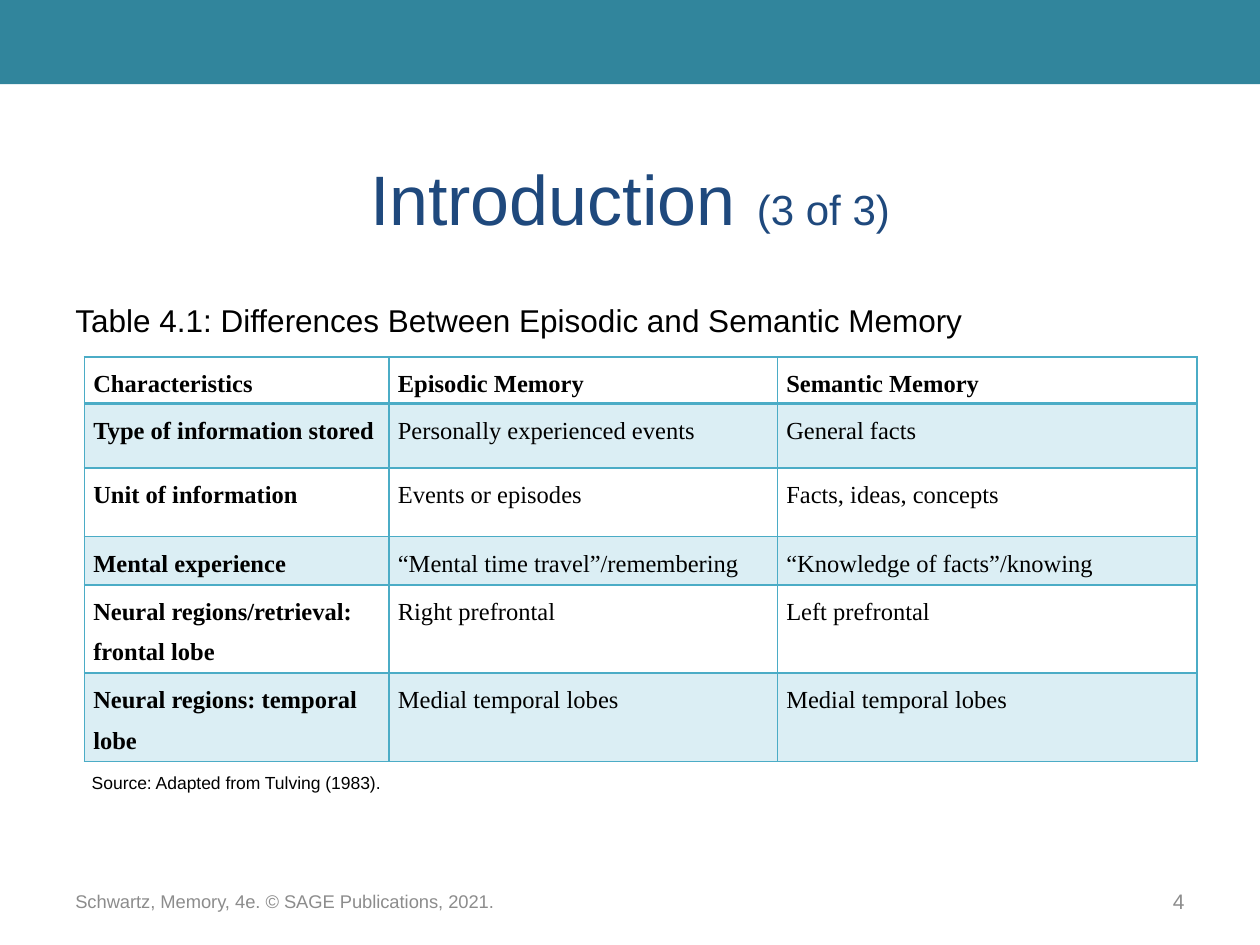
import pptx
import pptx.util
import pptx.dml.color
import pptx.enum.shapes
import pptx.enum.text
import pptx.oxml.ns
from lxml import etree

Cm, Pt = pptx.util.Cm, pptx.util.Pt
RGBColor = pptx.dml.color.RGBColor
ALIGN = pptx.enum.text.PP_ALIGN
ANCHOR = pptx.enum.text.MSO_ANCHOR

TEAL = RGBColor(0x31, 0x85, 0x9C)
NAVY = RGBColor(0x1F, 0x49, 0x7D)
BLACK = RGBColor(0, 0, 0)
GRAY = RGBColor(0x8C, 0x8C, 0x8C)
WHITE = RGBColor(0xFF, 0xFF, 0xFF)
PALE = RGBColor(0xDB, 0xEE, 0xF4)
RULE = RGBColor(0x4B, 0xAC, 0xC6)

# Content
TITLE = [("Introduction", 40), (" ", 44), ("(3 of 3)", 24)]
# Each text: runs, (left, top, width, height) in cm, colour, anchor, alignment
TEXTS = [
    (TITLE, (1.27, 2.34, 22.86, 3.18), NAVY, ANCHOR.MIDDLE, ALIGN.CENTER),
    ([("Table 4.1: Differences Between Episodic and Semantic Memory", 18)],
     (1.27, 5.95, 22.86, 1.1), BLACK, ANCHOR.TOP, ALIGN.LEFT),
    ([("Source: Adapted from Tulving (1983).", 10)],
     (1.6, 15.44, 22.53, 0.69), BLACK, ANCHOR.TOP, ALIGN.LEFT),
    ([("Schwartz, Memory, 4e. © SAGE Publications, 2021.", 10.5)],
     (1.27, 17.65, 20.96, 1.02), GRAY, ANCHOR.MIDDLE, ALIGN.LEFT),
    ([("4", 12)],
     (22.86, 17.65, 1.27, 1.02), GRAY, ANCHOR.MIDDLE, ALIGN.RIGHT),
]
ROWS = [
    ("Characteristics", "Episodic Memory", "Semantic Memory"),
    ("Type of information stored", "Personally experienced events",
     "General facts"),
    ("Unit of information", "Events or episodes", "Facts, ideas, concepts"),
    ("Mental experience", "“Mental time travel”/remembering",
     "“Knowledge of facts”/knowing"),
    ("Neural regions/retrieval: frontal lobe", "Right prefrontal",
     "Left prefrontal"),
    ("Neural regions: temporal lobe", "Medial temporal lobes",
     "Medial temporal lobes"),
]
WIDTHS = [6.14, 7.83, 8.46]
HEIGHTS = [0.94, 1.29, 1.39, 0.97, 1.64, 1.64]


def add_text(slide, runs, place, color, anchor, align):
    box = slide.shapes.add_textbox(*map(Cm, place))
    frame = box.text_frame
    frame.word_wrap = True
    frame.vertical_anchor = anchor
    para = frame.paragraphs[0]
    para.alignment = align
    para.font.name = "Arial"
    para.font.color.rgb = color
    for text, size in runs:
        run = para.add_run()
        run.text = text
        run.font.size = Pt(size)


def add_edge(cell, pos, side, width):
    tag = pptx.oxml.ns.qn
    line = etree.Element(tag("a:ln" + side), w=str(Pt(width)))
    fill = etree.SubElement(line, tag("a:solidFill"))
    etree.SubElement(fill, tag("a:srgbClr"), val=str(RULE))
    cell._tc.get_or_add_tcPr().insert(pos, line)


def style_cell(cell, text, row, col):
    cell.margin_left = cell.margin_right = Cm(0.18)
    cell.margin_top = cell.margin_bottom = 0
    cell.fill.solid()
    cell.fill.fore_color.rgb = PALE if row % 2 else WHITE
    para = cell.text_frame.paragraphs[0]
    para.text = text
    para.line_spacing = 1.5
    para.font.name = "Times New Roman"
    para.font.size = Pt(14)
    para.font.bold = row == 0 or col == 0
    para.font.color.rgb = BLACK
    # The rule under the header row is twice as thick
    edges = {"L": 1, "R": 1, "T": 2 if row == 1 else 1,
             "B": 2 if row == 0 else 1}
    for pos, (side, width) in enumerate(edges.items()):
        add_edge(cell, pos, side, width)


def add_grid(slide):
    frame = slide.shapes.add_table(
        len(ROWS), len(WIDTHS), Cm(1.7), Cm(7.2),
        Cm(sum(WIDTHS)), Cm(sum(HEIGHTS)))
    table = frame.table
    table.first_row = table.horz_banding = False
    for col, width in zip(table.columns, WIDTHS):
        col.width = Cm(width)
    for row, height in zip(table.rows, HEIGHTS):
        row.height = Cm(height)
    for r, row in enumerate(ROWS):
        for c, text in enumerate(row):
            style_cell(table.cell(r, c), text, r, c)


def main():
    deck = pptx.Presentation()
    deck.slide_width, deck.slide_height = Cm(25.4), Cm(19.05)
    slide = deck.slides.add_slide(deck.slide_layouts[6])

    # Top band
    band = slide.shapes.add_shape(
        pptx.enum.shapes.MSO_SHAPE.RECTANGLE, 0, 0, deck.slide_width, Cm(1.7))
    band.shadow.inherit = False
    band.fill.solid()
    band.fill.fore_color.rgb = TEAL
    band.line.fill.background()

    # Texts and table
    for item in TEXTS:
        add_text(slide, *item)
    add_grid(slide)
    deck.save("out.pptx")


if __name__ == "__main__":
    main()
